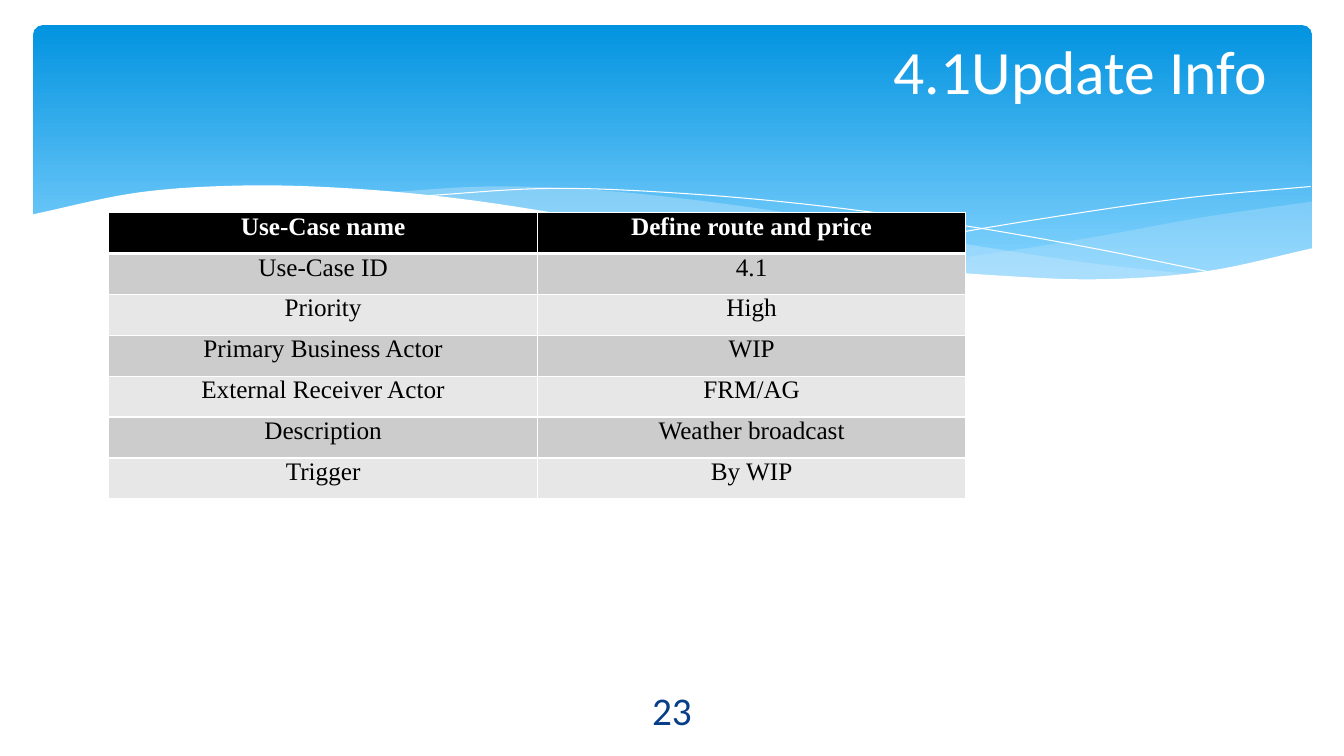
from lxml.etree import SubElement
from pptx import Presentation
from pptx.dml.color import RGBColor
from pptx.enum.shapes import MSO_SHAPE
from pptx.enum.text import MSO_ANCHOR, PP_ALIGN
from pptx.oxml.ns import qn
from pptx.util import Inches, Pt

WHITE = RGBColor(0xFF, 0xFF, 0xFF)
BLACK = RGBColor(0x00, 0x00, 0x00)
SKY_TOP = RGBColor(0x02, 0x93, 0xE0)
SKY_BOTTOM = RGBColor(0x83, 0xD3, 0xFE)
WAVE_BLUE = RGBColor(0xC6, 0xE7, 0xFC)
NUMBER_BLUE = RGBColor(0x07, 0x3E, 0x87)
DARK_BAND = RGBColor(0xCC, 0xCC, 0xCC)
LIGHT_BAND = RGBColor(0xE7, 0xE7, 0xE7)
STEPS_PER_SPAN = 10

presentation = Presentation()
presentation.slide_width = Inches(13.33)
presentation.slide_height = Inches(7.5)
slide = presentation.slides.add_slide(presentation.slide_layouts[5])
shapes = slide.shapes


def smooth_edge(left, right, heights):
    """Run a Catmull-Rom curve through heights at equal steps from left to right."""
    before = 2 * heights[0] - heights[1]
    after = 2 * heights[-1] - heights[-2]
    knots = [before, *heights, after]
    span_count = len(heights) - 1
    points = []
    for step in range(span_count * STEPS_PER_SPAN + 1):
        span = min(step // STEPS_PER_SPAN, span_count - 1)
        t = step / STEPS_PER_SPAN - span
        a, b, c, d = knots[span:span + 4]
        y = b + t / 2 * (c - a + t * (2 * a - 5 * b + 4 * c - d + t * (3 * (b - c) + d - a)))
        x = left + (right - left) * step / (span_count * STEPS_PER_SPAN)
        points.append((Inches(x), Inches(y)))
    return points


def add_wave(left, right, top_heights, bottom_heights, color, opacity=100):
    """Fill the band between two edges, or draw a hairline if there is no bottom edge."""
    points = smooth_edge(left, right, top_heights)
    is_band = bottom_heights is not None
    if is_band:
        points += reversed(smooth_edge(left, right, bottom_heights))
    builder = shapes.build_freeform(*points[0])
    builder.add_line_segments(points[1:], close=is_band)
    wave = builder.convert_to_shape()
    wave.shadow.inherit = False
    if is_band:
        wave.fill.solid()
        wave.fill.fore_color.rgb = color
        wave.line.fill.background()
        fill_color = wave.element.spPr.find(qn("a:solidFill")).find(qn("a:srgbClr"))
        SubElement(fill_color, qn("a:alpha"), val=str(opacity * 1000))
    else:
        wave.fill.background()
        wave.line.color.rgb = color
        wave.line.width = Pt(0)


# Blue banner
banner = shapes.add_shape(MSO_SHAPE.ROUNDED_RECTANGLE, Inches(0.33), Inches(0.25),
                          Inches(12.68), Inches(2.7))
banner.adjustments[0] = 0.034
banner.shadow.inherit = False
banner.line.fill.background()
banner.fill.gradient()
banner.fill.gradient_angle = 270
for stop, position, color in zip(banner.fill.gradient_stops, (0, 0.9), (SKY_TOP, SKY_BOTTOM)):
    stop.position = position
    stop.color.rgb = color

# Translucent waves, right one first
add_wave(8.82, 13.01, (2.65, 2.51, 2.34, 2.15, 2.0), (2.65, 2.75, 2.78, 2.71, 2.47),
         WAVE_BLUE, opacity=29)
add_wave(3.82, 11.9, (1.91, 1.85, 1.88, 1.98, 2.12, 2.3, 2.47, 2.62, 2.73),
         (1.91, 2.03, 2.19, 2.37, 2.53, 2.66, 2.75, 2.78, 2.73), WAVE_BLUE, opacity=40)

# White hairlines: one falling, one rising
add_wave(4.12, 12.1, (1.95, 1.87, 1.92, 2.04, 2.22, 2.45, 2.72), None, WHITE)
add_wave(8.18, 13, (2.57, 2.33, 2.13, 1.96, 1.85), None, WHITE)

# White wave that cuts the lower edge of the banner
add_wave(0.31, 13.03,
         (2.13, 1.91, 1.84, 1.87, 1.97, 2.13, 2.32, 2.5, 2.64, 2.73, 2.77, 2.69, 2.46),
         (3.29, 3.29), WHITE)

# Use-case table
use_case = [
    ("Use-Case name", "Define route and price"),
    ("Use-Case ID", "4.1"),
    ("Priority", "High"),
    ("Primary Business Actor", "WIP"),
    ("External Receiver Actor", "FRM/AG"),
    ("Description", "Weather broadcast"),
    ("Trigger", "By WIP"),
]
table = shapes.add_table(len(use_case), 2, Inches(1.08), Inches(2.11),
                         Inches(8.5), Inches(2.84)).table
for row_index, values in enumerate(use_case):
    is_header = row_index == 0
    band = BLACK if is_header else DARK_BAND if row_index % 2 else LIGHT_BAND
    border_widths = {"L": 1, "R": 1, "T": 3 if row_index == 1 else 1, "B": 3 if is_header else 1}
    for column_index, value in enumerate(values):
        cell = table.cell(row_index, column_index)
        for side, width in border_widths.items():
            border = SubElement(cell._tc.get_or_add_tcPr(), qn(f"a:ln{side}"), w=str(Pt(width)))
            border_fill = SubElement(border, qn("a:solidFill"))
            SubElement(border_fill, qn("a:srgbClr"), val=str(WHITE))
        cell.fill.solid()
        cell.fill.fore_color.rgb = band
        cell.margin_left = cell.margin_right = Inches(0.07)
        cell.margin_top = cell.margin_bottom = 0
        cell.text_frame.text = value
        paragraph = cell.text_frame.paragraphs[0]
        paragraph.alignment = PP_ALIGN.CENTER
        font = paragraph.runs[0].font
        font.name, font.size, font.bold = "Times New Roman", Pt(18), is_header
        font.color.rgb = WHITE if is_header else BLACK

# Slide number and title, with the title in front of the banner
number = shapes.add_textbox(Inches(5.82), Inches(6.84), Inches(1.69), Inches(0.4))
title = shapes.title
shapes.element.append(title.element)
title.left, title.top = Inches(0.67), Inches(0.33)
title.width, title.height = Inches(12), Inches(1.37)
title.text_frame.margin_top = 0
for shape, text, size, color, alignment, anchor in (
        (number, "23", 28, NUMBER_BLUE, PP_ALIGN.CENTER, MSO_ANCHOR.MIDDLE),
        (title, "4.1Update Info", 44, WHITE, PP_ALIGN.RIGHT, MSO_ANCHOR.TOP)):
    text_frame = shape.text_frame
    text_frame.text = text
    text_frame.word_wrap = True
    text_frame.vertical_anchor = anchor
    paragraph = text_frame.paragraphs[0]
    paragraph.alignment = alignment
    font = paragraph.runs[0].font
    font.name, font.size = "Calibri", Pt(size)
    font.color.rgb = color

presentation.save("out.pptx")
